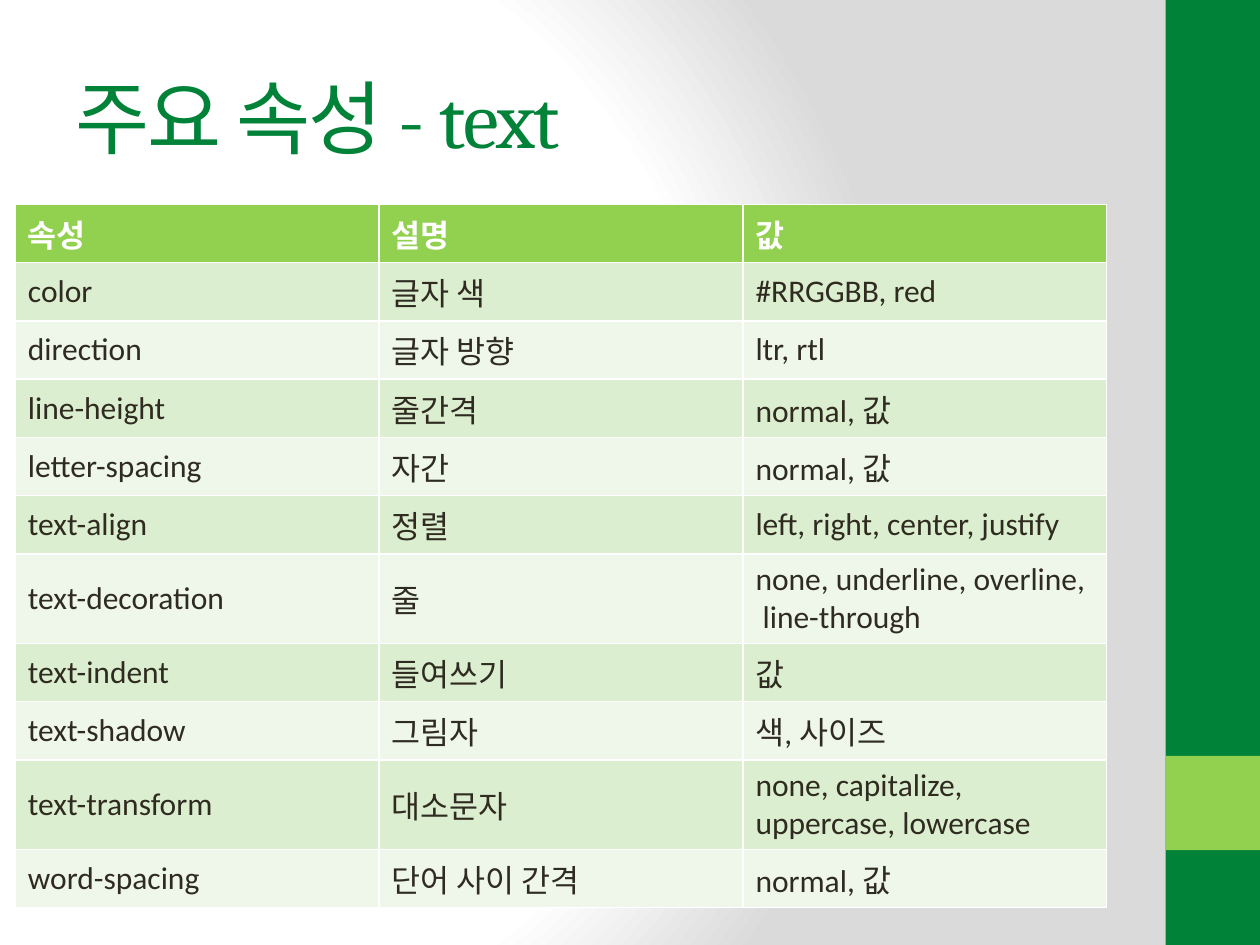
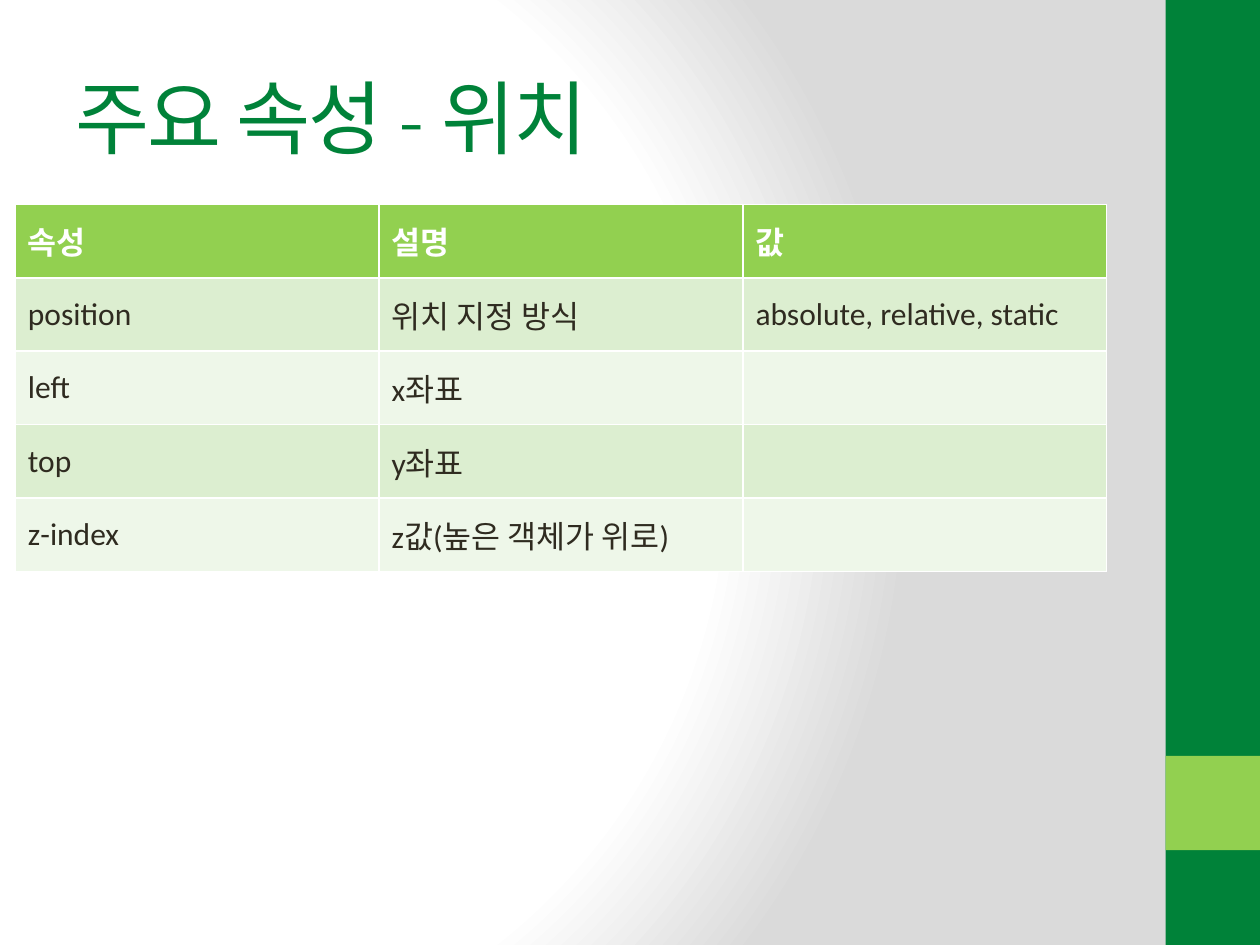
from pptx import Presentation
from pptx import util as u
from pptx.dml.color import RGBColor
from pptx.enum import shapes, text
from pptx.oxml import parse_xml
from pptx.oxml.ns import nsdecls, qn

GREEN = RGBColor(0x00, 0x82, 0x39)
LIME = RGBColor(0x92, 0xD0, 0x50)
WHITE = RGBColor(0xFF, 0xFF, 0xFF)
INK = RGBColor(0x2F, 0x2B, 0x20)
ROW_FILLS = [RGBColor(0xEE, 0xF7, 0xE9), RGBColor(0xDC, 0xEE, 0xD0)]
TITLE_FONT, BODY_FONT = "Cambria", "Calibri"

HEADER = ("속성", "설명", "값")
TOPICS = [
    ("주요 속성 - text", 1.04, [
        ("color", "글자 색", "#RRGGBB, red"),
        ("direction", "글자 방향", "ltr, rtl"),
        ("line-height", "줄간격", "normal, 값"),
        ("letter-spacing", "자간", "normal, 값"),
        ("text-align", "정렬", "left, right, center, justify"),
        ("text-decoration", "줄", "none, underline, overline,\n line-through"),
        ("text-indent", "들여쓰기", "값"),
        ("text-shadow", "그림자", "색, 사이즈"),
        ("text-transform", "대소문자", "none, capitalize, uppercase, lowercase"),
        ("word-spacing", "단어 사이 간격", "normal, 값"),
    ]),
    ("주요 속성 - 위치", 1.48, [
        ("position", "위치 지정 방식", "absolute, relative, static"),
        ("left", "x좌표", ""),
        ("top", "y좌표", ""),
        ("z-index", "z값(높은 객체가 위로)", ""),
    ]),
]


def set_font(paragraph, name, size, color, bold=False):
    font = paragraph.font
    font.name, font.size, font.bold = name, u.Pt(size), bold
    font.color.rgb = color


prs = Presentation()
prs.slide_width, prs.slide_height = u.Cm(25.4), u.Cm(19.05)
master = prs.slide_master
title_only = prs.slide_layouts[5]

# Radial background for every slide
master.background.fill.solid()
background = master.element.cSld.find(f'{qn("p:bg")}/{qn("p:bgPr")}')
background.replace(background[0], parse_xml(
    f'<a:gradFill {nsdecls("a")} rotWithShape="1"><a:gsLst>'
    + "".join(f'<a:gs pos="{stop}"><a:srgbClr val="{color}"/></a:gs>'
              for stop, color in [(0, "FFFFFF"), (75000, "FFFFFF"), (100000, "DADADA")])
    + '</a:gsLst><a:path path="circle">'
      '<a:fillToRect l="20000" t="50000" r="100000" b="50000"/></a:path></a:gradFill>'))

slides = [prs.slides.add_slide(title_only) for _ in TOPICS]

# Side bands are drawn once and moved to the master, behind its placeholders
bands = [(0, 19.05, GREEN), (15.24, 1.9, LIME)]
for order, (top, height, color) in enumerate(bands):
    band = slides[0].shapes.add_shape(
        shapes.MSO_SHAPE.RECTANGLE, u.Cm(23.5), u.Cm(top), u.Cm(1.9), u.Cm(height))
    band.shadow.inherit = False
    band.fill.solid()
    band.fill.fore_color.rgb = color
    band.line.fill.background()
    band.element.nvSpPr.cNvPr.set("id", str(100 + order))
    master.shapes.element.insert(2 + order, band.element)

for slide, (heading, row_height, properties) in zip(slides, TOPICS):
    title = slide.shapes.title
    title.left, title.top = u.Cm(1.27), u.Cm(0.76)
    title.width, title.height = u.Cm(21.16), u.Cm(3.18)
    title.text_frame.text = heading
    title.text_frame.auto_size = text.MSO_AUTO_SIZE.NONE
    title.text_frame.vertical_anchor = text.MSO_ANCHOR.MIDDLE
    heading_line = title.text_frame.paragraphs[0]
    heading_line.alignment = text.PP_ALIGN.LEFT
    set_font(heading_line, TITLE_FONT, 46, GREEN)
    heading_line._p.pPr.find(qn("a:defRPr")).set("spc", "-100")

    rows = [HEADER, *properties]
    table = slide.shapes.add_table(
        len(rows), len(HEADER), u.Cm(0.31), u.Cm(4.12),
        u.Cm(22), u.Cm(row_height * len(rows))).table
    for r, row in enumerate(rows):
        table.rows[r].height = u.Cm(row_height)
        for c, value in enumerate(row):
            cell = table.cell(r, c)
            cell.text = value
            cell.vertical_anchor = text.MSO_ANCHOR.MIDDLE
            cell.fill.solid()
            cell.fill.fore_color.rgb = ROW_FILLS[r % 2] if r else LIME
            for paragraph in cell.text_frame.paragraphs:
                set_font(paragraph, BODY_FONT, 18, INK if r else WHITE, bold=r == 0)

prs.save("out.pptx")
